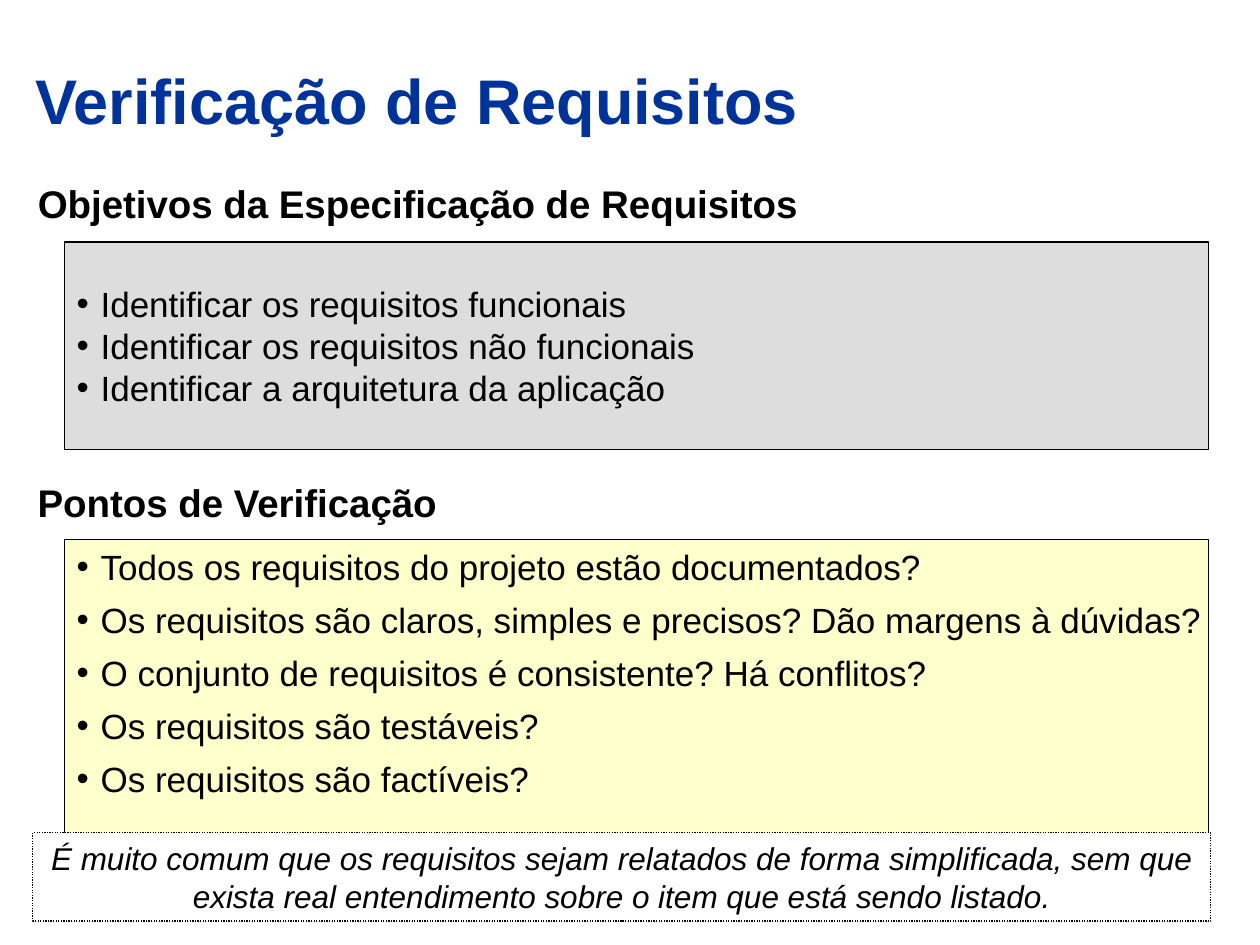
from pptx import Presentation
from pptx import util as u
from pptx.dml.color import RGBColor
from pptx.enum import dml, shapes, text
from pptx.oxml.ns import qn
from lxml import etree

BLUE = RGBColor(0x00, 0x33, 0x99)
BLACK = RGBColor(0x00, 0x00, 0x00)
GRAY = RGBColor(0xDD, 0xDD, 0xDD)
YELLOW = RGBColor(0xFF, 0xFF, 0xCC)
WHITE = RGBColor(0xFF, 0xFF, 0xFF)
COLUMNS, ROWS = 100, 75

GOALS = [
    "Identificar os requisitos funcionais",
    "Identificar os requisitos não funcionais",
    "Identificar a arquitetura da aplicação",
]
CHECKS = [
    "Todos os requisitos do projeto estão documentados?",
    "Os requisitos são claros, simples e precisos? Dão margens à dúvidas?",
    "O conjunto de requisitos é consistente? Há conflitos?",
    "Os requisitos são testáveis?",
    "Os requisitos são factíveis?",
]
NOTE = (
    "É muito comum que os requisitos sejam relatados de forma simplificada, "
    "sem que exista real entendimento sobre o item que está sendo listado."
)


def set_marker(para, bullet):
    properties = para._p.get_or_add_pPr()
    indent = u.Inches(0.19) if bullet else 0
    properties.set("marL", str(indent))
    properties.set("indent", str(-indent))
    if bullet:
        etree.SubElement(properties, qn("a:buFont")).set("typeface", "Arial")
        etree.SubElement(properties, qn("a:buChar")).set("char", "•")
    else:
        etree.SubElement(properties, qn("a:buNone"))


def write(shape, lines, size=20, color=BLACK, bold=False, italic=False,
          align=text.PP_ALIGN.LEFT, anchor=text.MSO_ANCHOR.TOP,
          bullet=False, after=0, wrap=True):
    frame = shape.text_frame
    frame.auto_size = text.MSO_AUTO_SIZE.NONE
    frame.word_wrap = wrap
    frame.vertical_anchor = anchor
    for index, line in enumerate(lines):
        para = frame.paragraphs[0] if index == 0 else frame.add_paragraph()
        set_marker(para, bullet)
        para.alignment = align
        para.space_before = u.Pt(0)
        para.space_after = u.Pt(after)
        span = para.add_run()
        span.text = line
        span.font.name = "Arial"
        span.font.size = u.Pt(size)
        span.font.bold = bold
        span.font.italic = italic
        span.font.color.rgb = color


class Page:
    def __init__(self, deck):
        self.slide = deck.slides.add_slide(deck.slide_layouts[1])
        self.column = deck.slide_width / COLUMNS
        self.row = deck.slide_height / ROWS

    def area(self, left, top, width, height):
        return (int(left * self.column), int(top * self.row),
                int(width * self.column), int(height * self.row))

    def place(self, shape, area):
        shape.left, shape.top, shape.width, shape.height = self.area(*area)

    def title(self, words, area):
        shape = self.slide.shapes.title
        self.place(shape, area)
        write(shape, [words], size=36, color=BLUE, bold=True,
              anchor=text.MSO_ANCHOR.MIDDLE)

    def body_heading(self, words, area):
        shape = self.slide.placeholders[1]
        self.place(shape, area)
        write(shape, [words], size=22, bold=True)

    def heading(self, words, area):
        shape = self.slide.shapes.add_textbox(*self.area(*area))
        write(shape, [words], size=22, bold=True)

    def panel(self, lines, area, fill, dash=None, **style):
        box = self.slide.shapes.add_shape(
            shapes.MSO_SHAPE.RECTANGLE, *self.area(*area))
        box.shadow.inherit = False
        box.fill.solid()
        box.fill.fore_color.rgb = fill
        box.line.color.rgb = BLACK
        box.line.width = u.Pt(0.75)
        if dash:
            box.line.dash_style = dash
        write(box, lines, **style)


def main():
    deck = Presentation()
    deck.slide_width, deck.slide_height = u.Inches(10), u.Inches(7.5)
    page = Page(deck)
    page.title("Verificação de Requisitos", (1.8, 2.8, 96.2, 10.1))
    page.body_heading("Objetivos da Especificação de Requisitos",
                      (2, 13.8, 96.1, 6.8))
    page.panel(GOALS, (5.1, 19.2, 90.8, 16.5), GRAY, bullet=True,
               anchor=text.MSO_ANCHOR.MIDDLE)
    page.panel(CHECKS, (5.1, 42.8, 90.8, 25.1), YELLOW, bullet=True,
               after=6.2, wrap=False)
    page.panel([NOTE], (2.6, 66.1, 93.5, 7), WHITE, size=18, italic=True,
               dash=dml.MSO_LINE.ROUND_DOT, align=text.PP_ALIGN.CENTER)
    page.heading("Pontos de Verificação", (2, 37.5, 96.1, 5.3))
    deck.save("out.pptx")


if __name__ == "__main__":
    main()
